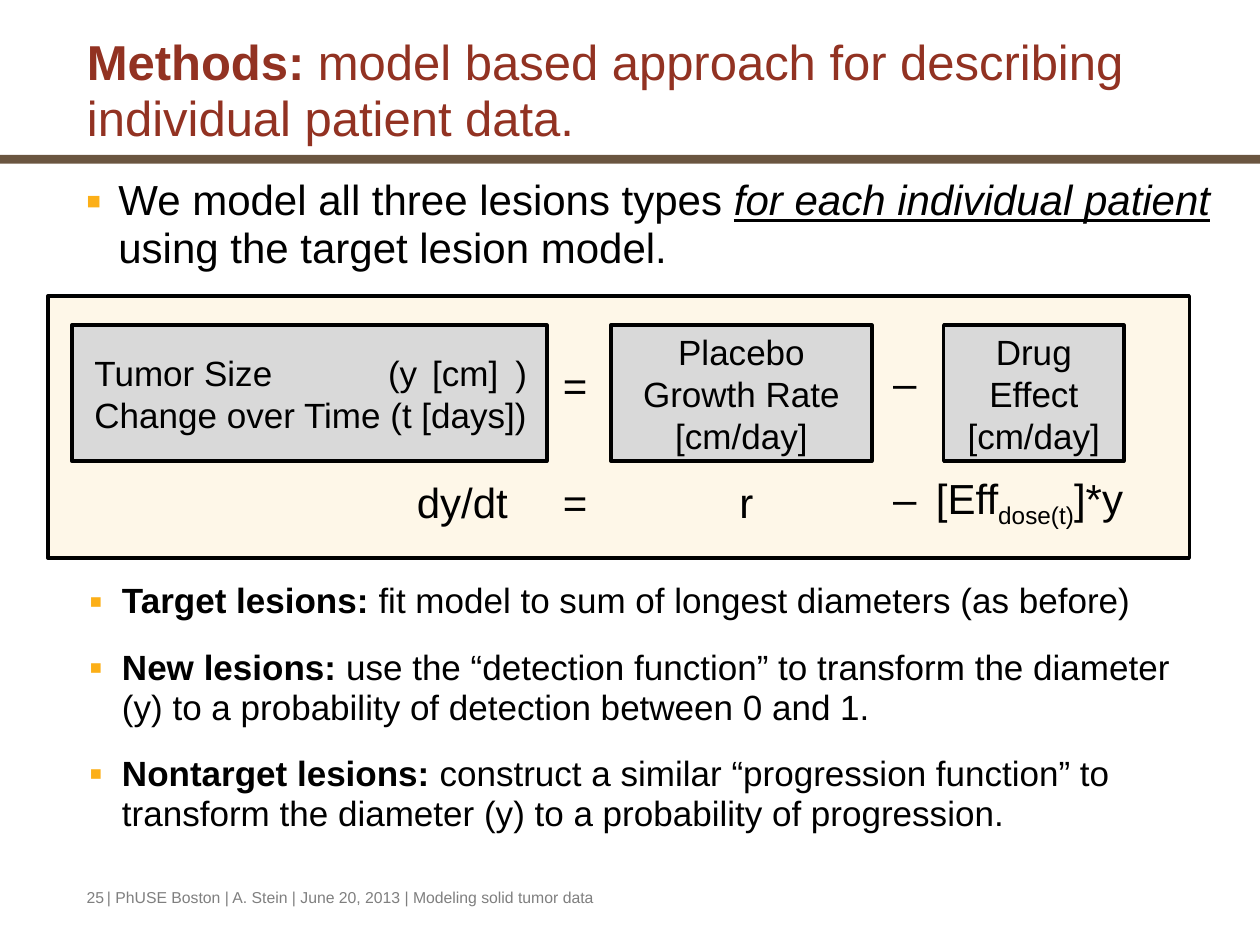
from lxml import etree
from pptx import Presentation
from pptx.dml.color import RGBColor
from pptx.enum.shapes import MSO_SHAPE
from pptx.enum.text import MSO_ANCHOR, MSO_AUTO_SIZE, PP_ALIGN
from pptx.oxml.ns import qn
from pptx.util import Inches, Pt

RECT = MSO_SHAPE.RECTANGLE
LEFT, CENTER = PP_ALIGN.LEFT, PP_ALIGN.CENTER
TOP, MIDDLE, BOTTOM = MSO_ANCHOR.TOP, MSO_ANCHOR.MIDDLE, MSO_ANCHOR.BOTTOM
NO_FIT = MSO_AUTO_SIZE.NONE

FONT = "Arial"
COLORS = {
    "title": "923222",
    "bar": "6A5540",
    "panel": "FEF7E8",
    "term": "D9D9D9",
    "bullet": "FCAF17",
    "text": "000000",
    "footer": "7F7F7F",
}
INDENT = Inches(0.26)
TERM_TOP, TERM_HEIGHT = 2.58, 1.08
SYMBOL_HEIGHT = 0.51


def rgb(name):
    return RGBColor.from_string(COLORS[name])


def place(shape, left, top, width, height):
    shape.left, shape.top = Inches(left), Inches(top)
    shape.width, shape.height = Inches(width), Inches(height)


def add_runs(p, runs, size, color="text"):
    """Add (text, style) runs; style holds any of b, i, u and s for subscript."""
    for text, style in runs:
        r = p.add_run()
        r.text = text
        r.font.name, r.font.size = FONT, Pt(size)
        r.font.color.rgb = rgb(color)
        r.font.bold = "b" in style
        r.font.italic = "i" in style
        r.font.underline = "u" in style
        if "s" in style:
            r._r.get_or_add_rPr().set("baseline", "-25000")


def add_rect(shapes, box, fill, outlined=True):
    sp = shapes.add_shape(RECT, *map(Inches, box))
    sp.shadow.inherit = False
    sp.fill.solid()
    sp.fill.fore_color.rgb = rgb(fill)
    if outlined:
        sp.line.color.rgb = rgb("text")
        sp.line.width = Pt(2)
    else:
        sp.line.fill.background()
    return sp


def add_term(shapes, left, width, lines, align=CENTER):
    sp = add_rect(shapes, (left, TERM_TOP, width, TERM_HEIGHT), "term")
    tf = sp.text_frame
    tf.word_wrap, tf.vertical_anchor = True, MIDDLE
    for i, line in enumerate(lines):
        p = tf.add_paragraph() if i else tf.paragraphs[0]
        p.alignment = align
        add_runs(p, [(line, "")], 20)
    return sp


def add_text(shapes, box, runs, size, color="text", wrap=False):
    tf = shapes.add_textbox(*map(Inches, box)).text_frame
    tf.word_wrap = wrap
    add_runs(tf.paragraphs[0], runs, size, color)


def set_tabs(p, stops):
    tabs = etree.SubElement(p._p.get_or_add_pPr(), qn("a:tabLst"))
    for stop in stops:
        etree.SubElement(tabs, qn("a:tab"), pos=str(Inches(stop)), algn="l")


def set_bullet(p):
    pPr = p._p.get_or_add_pPr()
    pPr.set("marL", str(INDENT))
    pPr.set("indent", str(-INDENT))
    color = etree.SubElement(pPr, qn("a:buClr"))
    etree.SubElement(color, qn("a:srgbClr"), val=COLORS["bullet"])
    etree.SubElement(pPr, qn("a:buSzPct"), val="110000")
    etree.SubElement(pPr, qn("a:buFont"), typeface=FONT)
    etree.SubElement(pPr, qn("a:buChar"), char="▪")


def fill_bullets(tf, items, size):
    tf.word_wrap, tf.auto_size, tf.vertical_anchor = True, NO_FIT, TOP
    for i, runs in enumerate(items):
        p = tf.add_paragraph() if i else tf.paragraphs[0]
        set_bullet(p)
        p.alignment, p.line_spacing = LEFT, 0.95
        p.space_before = Pt(0.75 * size if i else 0)
        add_runs(p, runs, size)


def fill_title(title):
    place(title, 0.59, 0.67, 9.07, 0.55)
    tf = title.text_frame
    tf.word_wrap, tf.auto_size, tf.vertical_anchor = True, NO_FIT, BOTTOM
    p = tf.paragraphs[0]
    p.alignment, p.line_spacing = LEFT, 0.95
    add_runs(p, [
        ("Methods: ", "b"),
        ("model based approach for describing individual patient data.", ""),
    ], 28, "title")


def add_word_equation(shapes):
    size_term = add_term(shapes, 0.57, 3.77, [
        "Tumor Size\t(y\t[cm]\t)", "Change over Time (t [days])"], LEFT)
    size_term.text_frame.margin_left = Inches(0.18)
    set_tabs(size_term.text_frame.paragraphs[0], (2.33, 2.68, 3.34))
    add_term(shapes, 4.85, 2.07, ["Placebo", "Growth Rate [cm/day]"])
    add_term(shapes, 7.49, 1.43, ["Drug", "Effect", "[cm/day]"])
    add_symbols(shapes, [("=", 4.37, 2.8, 0.4), ("–", 6.99, 2.78, 0.39)])


def add_symbols(shapes, symbols):
    for text, left, top, width in symbols:
        add_text(shapes, (left, top, width, SYMBOL_HEIGHT), [(text, "")], 24)


def add_symbol_equation(shapes):
    add_symbols(shapes, [
        ("dy/dt", 3.21, 3.73, 0.92),
        ("=", 4.37, 3.73, 0.4),
        ("r", 5.77, 3.73, 0.31),
        ("–", 6.99, 3.7, 0.39),
    ])
    effect = [("[Eff", ""), ("dose(t)", "s"), ("]*y", "")]
    add_text(shapes, (7.33, 3.7, 1.69, SYMBOL_HEIGHT), effect, 24)


def main():
    prs = Presentation()
    prs.slide_width, prs.slide_height = Inches(10), Inches(7.5)
    s = prs.slides.add_slide(prs.slide_layouts[1])

    fill_title(s.shapes.title)
    body = s.placeholders[1]
    place(body, 0.58, 1.36, 9.42, 5.44)
    fill_bullets(body.text_frame, [[
        ("We model all three lesions types ", ""),
        ("for each individual patient", "iu"),
        (" using the target lesion model.", ""),
    ]], 24)

    add_rect(s.shapes, (0, 1.23, 10, 0.07), "bar", outlined=False)
    add_rect(s.shapes, (0.38, 2.35, 9.06, 2.08), "panel")
    lesions = s.shapes.add_textbox(*map(Inches, (0.61, 4.57, 9.18, 2.27)))
    fill_bullets(lesions.text_frame, [
        [("Target lesions:", "b"),
         (" fit model to sum of longest diameters (as before)", "")],
        [("New lesions:", "b"),
         (" use the “detection function” to transform the diameter (y) "
          "to a probability of detection between 0 and 1.", "")],
        [("Nontarget lesions: ", "b"),
         ("construct a similar “progression function” to transform "
          "the diameter (y) to a probability of progression.", "")],
    ], 20)

    add_word_equation(s.shapes.add_group_shape().shapes)
    add_symbol_equation(s.shapes.add_group_shape().shapes)

    footer = "| PhUSE Boston | A. Stein | June 20, 2013 | Modeling solid tumor data"
    for text, left, width in (("25", 0.59, 0.44), (footer, 0.75, 7.08)):
        add_text(s.shapes, (left, 7, width, 0.27), [(text, "")], 9, "footer", wrap=True)

    prs.save("out.pptx")


if __name__ == "__main__":
    main()
